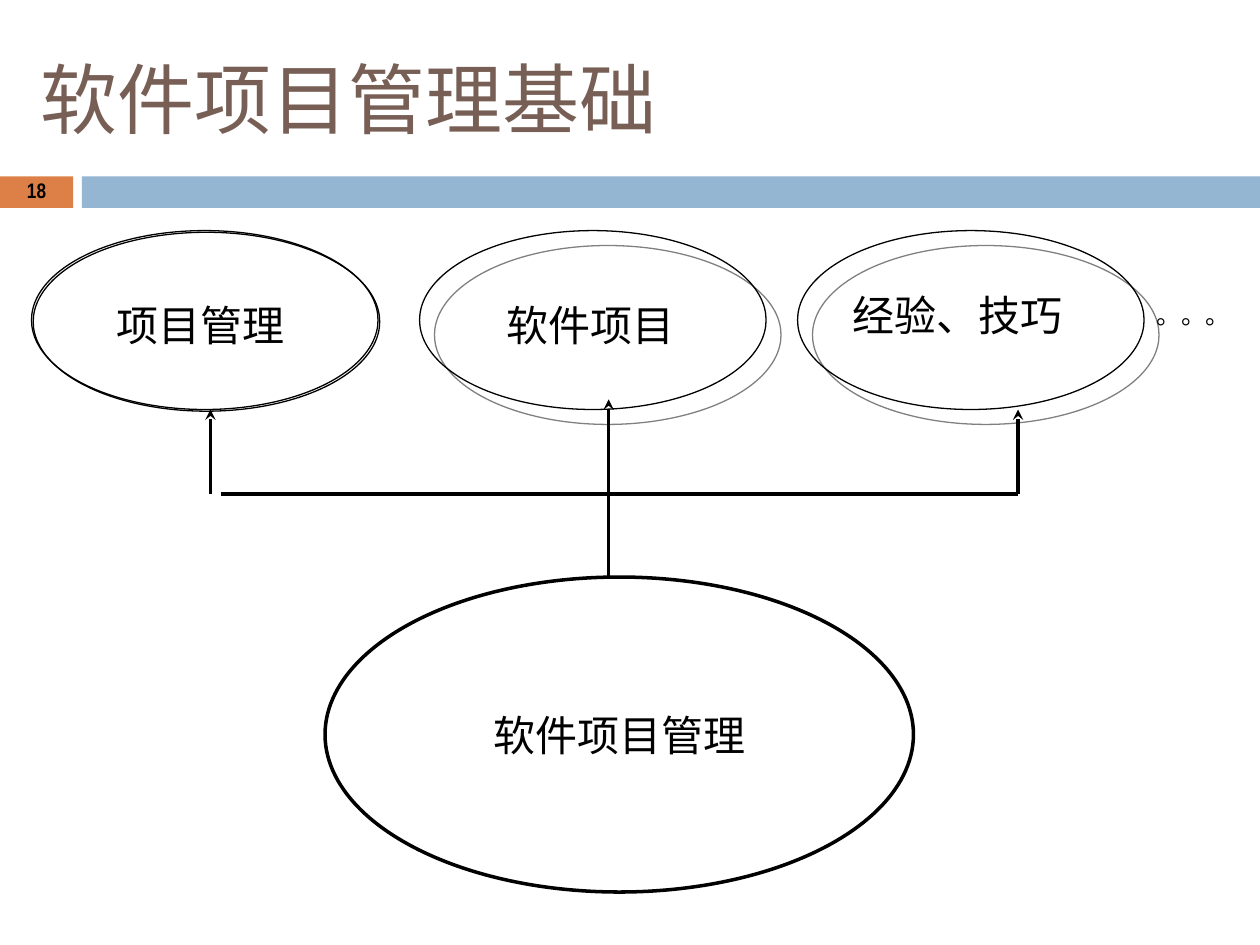
"""Build the slide on the foundations of software project management."""
from lxml import etree
from pptx import Presentation
from pptx.dml.color import RGBColor
from pptx.enum import shapes, text
from pptx.oxml import ns
from pptx.util import Inches, Pt

COLORS = {"black": "000000", "grey": "808080", "title": "775F55",
          "orange": "DD8047", "blue": "94B6D2"}
BODY, CJK = "Arial Narrow", "Noto Sans CJK SC"

BARS = [((0, 1.4, 0.58, 0.25), "orange"), ((0.65, 1.4, 9.35, 0.25), "blue")]
SOURCES = [(0.25, "black", 1.4), (3.33, "grey", 12.1), (6.33, "grey", 12.1)]
GOAL = ("软件项目管理", (2.58, 4.58, 4.67, 2.5))
LABELS = [
    ("项目管理", (0.83, 2.33, 1.75, 0.5), 24),
    ("软件项目", (3.92, 2.33, 1.75, 0.5), 24),
    ("。。。", (9.08, 2.33, 0.92, 0.34), 14),
    ("经验、技巧", (6.67, 2.25, 2.08, 0.5), 24),
]
BRANCH_Y = 3.92
ARROWS = [(4.83, 4.58, 3.17), (1.67, BRANCH_Y, 3.25), (8.08, BRANCH_Y, 3.25)]


def color(name):
    return RGBColor.from_string(COLORS[name])


def add_xml(parent, tag, **attributes):
    return etree.SubElement(parent, ns.qn(tag), attributes)


def write(shape, words, size, font=BODY, ink="black", bold=False, align=None):
    paragraph = shape.text_frame.paragraphs[0]
    paragraph.text = words
    paragraph.alignment = align
    face = paragraph.font
    face.name, face.size, face.bold = font, Pt(size), bold
    face.color.rgb = color(ink)
    return paragraph


def add_label(page, words, place, size, **style):
    box = page.shapes.add_textbox(*map(Inches, place))
    box.text_frame.word_wrap = True
    return box, write(box, words, size, **style)


def add_shape(page, kind, place, fill=None, line=None):
    shape = page.shapes.add_shape(kind, *map(Inches, place))
    shape.shadow.inherit = False
    if fill:
        shape.fill.solid()
        shape.fill.fore_color.rgb = color(fill)
    else:
        shape.fill.background()
    if line:
        shape.line.color.rgb = color("black")
        shape.line.width = Pt(line)
    else:
        shape.line.fill.background()
    return shape


def add_shadow(shape, ink, distance):
    effects = shape.element.spPr.find(ns.qn("a:effectLst"))
    shadow = add_xml(effects, "a:outerShdw", dist=str(Pt(distance)),
                     dir=str(45 * 60000), algn="ctr", rotWithShape="0")
    add_xml(shadow, "a:srgbClr", val=COLORS[ink])


def add_line(page, start, end, arrow=False):
    line = page.shapes.add_connector(shapes.MSO_CONNECTOR.STRAIGHT,
                                     *map(Inches, start + end))
    line.line.color.rgb = color("black")
    line.line.width = Pt(2)
    if arrow:
        add_xml(line.line._get_or_add_ln(), "a:tailEnd", type="stealth")
    add_xml(line.element.spPr, "a:effectLst")


def main():
    deck = Presentation()
    deck.slide_width, deck.slide_height = Inches(10), Inches(7.5)
    page = deck.slides.add_slide(deck.slide_layouts[6])
    oval = shapes.MSO_SHAPE.OVAL
    center = text.PP_ALIGN.CENTER

    for place, fill in BARS:
        add_shape(page, shapes.MSO_SHAPE.RECTANGLE, place, fill=fill)
    add_label(page, "软件项目管理基础", (0.22, 0.36, 8.5, 1.25), 44,
              font=CJK, ink="title")
    number, paragraph = add_label(page, "18", (0, 1.39, 0.58, 0.27), 12,
                                  bold=True, align=center)
    number.text_frame.vertical_anchor = text.MSO_ANCHOR.MIDDLE
    paragraph.line_spacing = 0.8

    words, place = GOAL
    goal = add_shape(page, oval, place, line=2)
    goal.text_frame.word_wrap = False
    write(goal, words, 24, align=center)
    for left, ink, distance in SOURCES:
        source = add_shape(page, oval, (left, 1.83, 2.75, 1.42), line=0.75)
        add_shadow(source, ink, distance)
    for words, place, size in LABELS:
        add_label(page, words, place, size)

    add_line(page, (1.75, BRANCH_Y), (8.08, BRANCH_Y))
    for x, bottom, top in ARROWS:
        add_line(page, (x, bottom), (x, top), arrow=True)
    deck.save("out.pptx")


if __name__ == "__main__":
    main()
